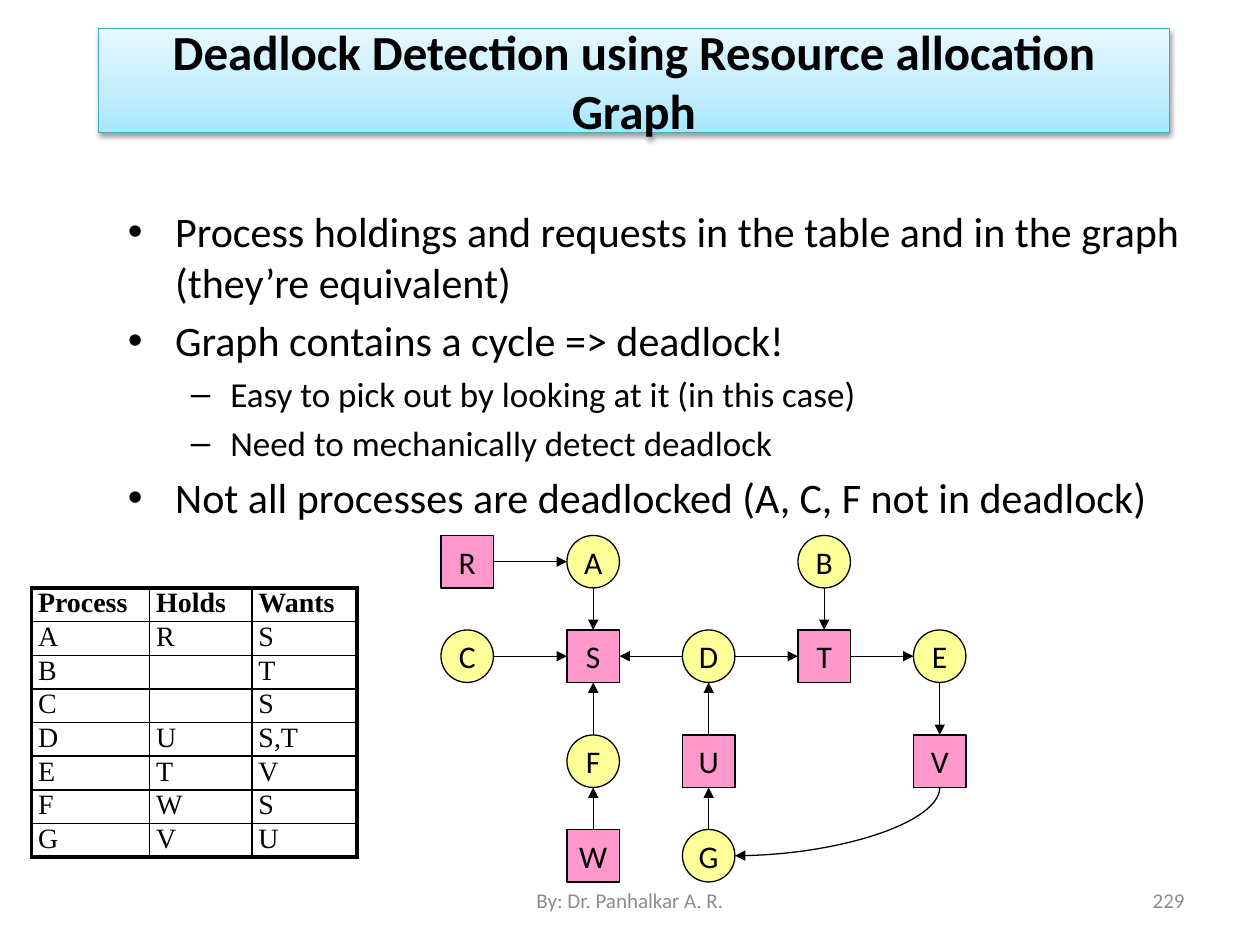
"""Build the slide on deadlock detection with a resource allocation graph."""
from dataclasses import dataclass

from lxml import etree
from pptx import Presentation
from pptx.dml.color import RGBColor
from pptx.enum.shapes import MSO_CONNECTOR, MSO_SHAPE
from pptx.enum.text import MSO_ANCHOR, PP_ALIGN
from pptx.oxml import parse_xml
from pptx.oxml.ns import nsdecls, qn
from pptx.util import Pt

RECTANGLE, OVAL = MSO_SHAPE.RECTANGLE, MSO_SHAPE.OVAL
STRAIGHT, CURVE = MSO_CONNECTOR.STRAIGHT, MSO_CONNECTOR.CURVE
LEFT, CENTER, RIGHT = PP_ALIGN.LEFT, PP_ALIGN.CENTER, PP_ALIGN.RIGHT
MIDDLE = MSO_ANCHOR.MIDDLE

EMU_PER_PX = 9525
SANS, SERIF = "Calibri", "Times New Roman"
COLORS = {
    "ink": "000000",
    "resource": "FF99CC",
    "process": "FFFF99",
    "footer": "8C8C8C",
    "title_line": "46AAC5",
}
TITLE_GRADIENT = {0: "A7E6FF", 35: "C1EDFF", 100: "E7F8FF"}

NODE = 40
COLUMNS = (336, 432, 520, 608, 696)
ROWS = (408, 480, 560, 632)


@dataclass(frozen=True)
class Node:
    """A process (circle) or resource (square) at a place in the graph grid."""
    name: str
    column: int
    row: int
    is_resource: bool = False

    def side(self, index: int) -> tuple[int, int]:
        """Return the middle of a side: 0 top, 1 left, 2 bottom, 3 right."""
        half = NODE // 2
        dx, dy = ((half, 0), (0, half), (half, NODE), (NODE, half))[index]
        return COLUMNS[self.column] + dx, ROWS[self.row] + dy


@dataclass(frozen=True)
class Point:
    """A bulleted statement."""
    text: str
    level: int = 0


@dataclass(frozen=True)
class PointStyle:
    """The look of one bullet level."""
    bullet: str
    margin: int
    hanging: int
    size: int
    space: float


NODES = (
    Node("R", 0, 0, True), Node("A", 1, 0), Node("B", 3, 0),
    Node("C", 0, 1), Node("S", 1, 1, True), Node("D", 2, 1),
    Node("T", 3, 1, True), Node("E", 4, 1),
    Node("F", 1, 2), Node("U", 2, 2, True), Node("V", 4, 2, True),
    Node("W", 1, 3, True), Node("G", 2, 3),
)
EDGES = ("RA", "AS", "CS", "FS", "WF", "DS", "DT", "TE", "EV", "BT", "GU", "UD")
POINTS = (
    Point("Process holdings and requests in the table and in the graph (they’re equivalent)"),
    Point("Graph contains a cycle => deadlock!"),
    Point("Easy to pick out by looking at it (in this case)", 1),
    Point("Need to mechanically detect deadlock", 1),
    Point("Not all processes are deadlocked (A, C, F not in deadlock)"),
)
POINT_STYLES = (PointStyle("•", 36, 36, 24, 4.8), PointStyle("–", 78, 30, 20, 4))
HOLDINGS = (
    ("Process", "Holds", "Wants"),
    ("A", "R", "S"), ("B", "", "T"), ("C", "", "S"), ("D", "U", "S,T"),
    ("E", "T", "V"), ("F", "W", "S"), ("G", "V", "U"),
)
HOLDINGS_WIDTHS = (90, 78, 80)
HOLDINGS_ROW = 22


def px(*lengths: int) -> list[int]:
    """Turn px into EMU."""
    return [length * EMU_PER_PX for length in lengths]


def style(paragraph, size: int, align=LEFT, color="ink", face=SANS, bold=False) -> None:
    """Set the alignment and font of a paragraph."""
    paragraph.alignment = align
    font = paragraph.font
    font.size, font.name, font.bold = Pt(size), face, bold
    font.color.rgb = RGBColor.from_string(COLORS[color])


def add_title(slide, text: str) -> None:
    """Draw the title in its gradient banner with a soft shadow."""
    banner = slide.shapes.add_shape(RECTANGLE, *px(75, 22, 816, 79))
    banner.fill.gradient()
    banner.fill.gradient_angle = 90
    stops = banner.fill._fill._gradFill.find(qn("a:gsLst"))
    stops.clear()
    for percent, color in TITLE_GRADIENT.items():
        stop = etree.SubElement(stops, qn("a:gs"), pos=str(percent * 1000))
        etree.SubElement(stop, qn("a:srgbClr"), val=color)
    banner.line.color.rgb = RGBColor.from_string(COLORS["title_line"])
    banner.line.width = Pt(0.75)
    banner.shadow.inherit = False
    banner._element.spPr.find(qn("a:effectLst")).append(parse_xml(
        f'<a:outerShdw {nsdecls("a")} blurRad="40000" dist="20000" dir="5400000" '
        'rotWithShape="0"><a:srgbClr val="000000"><a:alpha val="38000"/>'
        '</a:srgbClr></a:outerShdw>'))
    frame = banner.text_frame
    frame.word_wrap, frame.vertical_anchor = True, MIDDLE
    frame.text = text
    style(frame.paragraphs[0], 28, CENTER, bold=True)


def add_points(slide) -> None:
    """Write the bulleted statements."""
    frame = slide.shapes.add_textbox(*px(88, 152, 852, 252)).text_frame
    frame.word_wrap = True
    for index, point in enumerate(POINTS):
        look = POINT_STYLES[point.level]
        paragraph = frame.add_paragraph() if index else frame.paragraphs[0]
        paragraph.text = point.text
        paragraph.level = point.level
        paragraph.space_before = Pt(look.space if index else 0)
        properties = paragraph._p.get_or_add_pPr()
        margin, indent = px(look.margin, -look.hanging)
        properties.set("marL", str(margin))
        properties.set("indent", str(indent))
        etree.SubElement(properties, qn("a:buFont"), typeface="Arial")
        etree.SubElement(properties, qn("a:buChar"), char=look.bullet)
        style(paragraph, look.size)


def add_holdings(slide) -> None:
    """Draw the table of holdings and requests with a heavy outer border."""
    last_row, last_column = len(HOLDINGS) - 1, len(HOLDINGS_WIDTHS) - 1
    table = slide.shapes.add_table(
        last_row + 1, last_column + 1,
        *px(24, 448, sum(HOLDINGS_WIDTHS), HOLDINGS_ROW * len(HOLDINGS))).table
    table.first_row = table.horz_banding = False
    for column, width in zip(table.columns, px(*HOLDINGS_WIDTHS)):
        column.width = width
    for r, entries in enumerate(HOLDINGS):
        table.rows[r].height = px(HOLDINGS_ROW)[0]
        for c, entry in enumerate(entries):
            cell = table.cell(r, c)
            cell.margin_left, cell.margin_right = px(5, 5)
            cell.margin_top = cell.margin_bottom = 0
            outer = {"L": c == 0, "R": c == last_column, "T": r == 0, "B": r == last_row}
            for edge, heavy in outer.items():
                cell._tc.get_or_add_tcPr().append(parse_xml(
                    f'<a:ln{edge} {nsdecls("a")} w="{Pt(2.25 if heavy else 1)}"><a:solidFill>'
                    f'<a:srgbClr val="{COLORS["ink"]}"/></a:solidFill></a:ln{edge}>'))
            cell.fill.background()
            paragraph = cell.text_frame.paragraphs[0]
            if entry:
                paragraph.text = entry
            else:
                etree.SubElement(paragraph._p, qn("a:endParaRPr"), sz="1600")
            style(paragraph, 16, face=SERIF, bold=r == 0)


def add_node(slide, node: Node):
    """Draw one node and return its shape."""
    shape = slide.shapes.add_shape(
        RECTANGLE if node.is_resource else OVAL,
        *px(COLUMNS[node.column], ROWS[node.row], NODE, NODE))
    shape.shadow.inherit = False
    shape.fill.solid()
    shape.fill.fore_color.rgb = RGBColor.from_string(
        COLORS["resource" if node.is_resource else "process"])
    shape.line.color.rgb = RGBColor.from_string(COLORS["ink"])
    shape.line.width = Pt(0.75)
    frame = shape.text_frame
    frame.word_wrap, frame.vertical_anchor = False, MIDDLE
    frame.text = node.name
    style(frame.paragraphs[0], 18, CENTER)
    return shape


def add_arrow(slide, kind, start: tuple[int, int], end: tuple[int, int]):
    """Draw a thin arrow and return its connector."""
    arrow = slide.shapes.add_connector(kind, *px(*start, *end))
    arrow.line.color.rgb = RGBColor.from_string(COLORS["ink"])
    arrow.line.width = Pt(0.75)
    etree.SubElement(arrow.line._get_or_add_ln(), qn("a:tailEnd"), type="triangle")
    etree.SubElement(arrow._element.spPr, qn("a:effectLst"))
    return arrow


def add_edge(slide, source: Node, target: Node, shapes: dict) -> None:
    """Join two neighbouring nodes, gluing the end that meets a square."""
    if source.row == target.row:
        leaving = 3 if source.column < target.column else 1
    else:
        leaving = 2 if source.row < target.row else 0
    entering = (leaving + 2) % 4
    arrow = add_arrow(slide, STRAIGHT, source.side(leaving), target.side(entering))
    if source.is_resource:
        arrow.begin_connect(shapes[source.name], leaving)
    if target.is_resource:
        arrow.end_connect(shapes[target.name], entering)


def add_curved_edge(slide, source: Node, target: Node) -> None:
    """Draw a quarter bend from the bottom of one node to the right of another."""
    (x1, y1), (x2, y2) = source.side(2), target.side(3)
    width, height = y2 - y1, x1 - x2
    left, top = (x1 + x2 - width) // 2, (y1 + y2 - height) // 2
    bend = add_arrow(slide, CURVE, (left, top), (left + width, top + height))
    properties = bend._element.spPr
    properties.find(qn("a:xfrm")).set("rot", "5400000")
    properties.find(qn("a:prstGeom")).set("prst", "curvedConnector2")


def add_footer(slide, text: str, left: int, width: int, align) -> None:
    """Write a grey footer text."""
    frame = slide.shapes.add_textbox(*px(left, 667, width, 38)).text_frame
    frame.word_wrap, frame.vertical_anchor = True, MIDDLE
    frame.text = text
    style(frame.paragraphs[0], 12, align, "footer")


def main() -> None:
    """Build and save the slide."""
    deck = Presentation()
    deck.slide_width, deck.slide_height = px(960, 720)
    slide = deck.slides.add_slide(deck.slide_layouts[6])
    add_title(slide, "Deadlock Detection using Resource allocation Graph")
    add_points(slide)
    add_holdings(slide)
    nodes = {node.name: node for node in NODES}
    shapes = {node.name: add_node(slide, node) for node in NODES}
    for source, target in EDGES:
        add_edge(slide, nodes[source], nodes[target], shapes)
    add_curved_edge(slide, nodes["V"], nodes["G"])
    add_footer(slide, "229", 688, 224, RIGHT)
    add_footer(slide, "By: Dr. Panhalkar A. R.", 328, 304, CENTER)
    deck.save("out.pptx")


if __name__ == "__main__":
    main()
